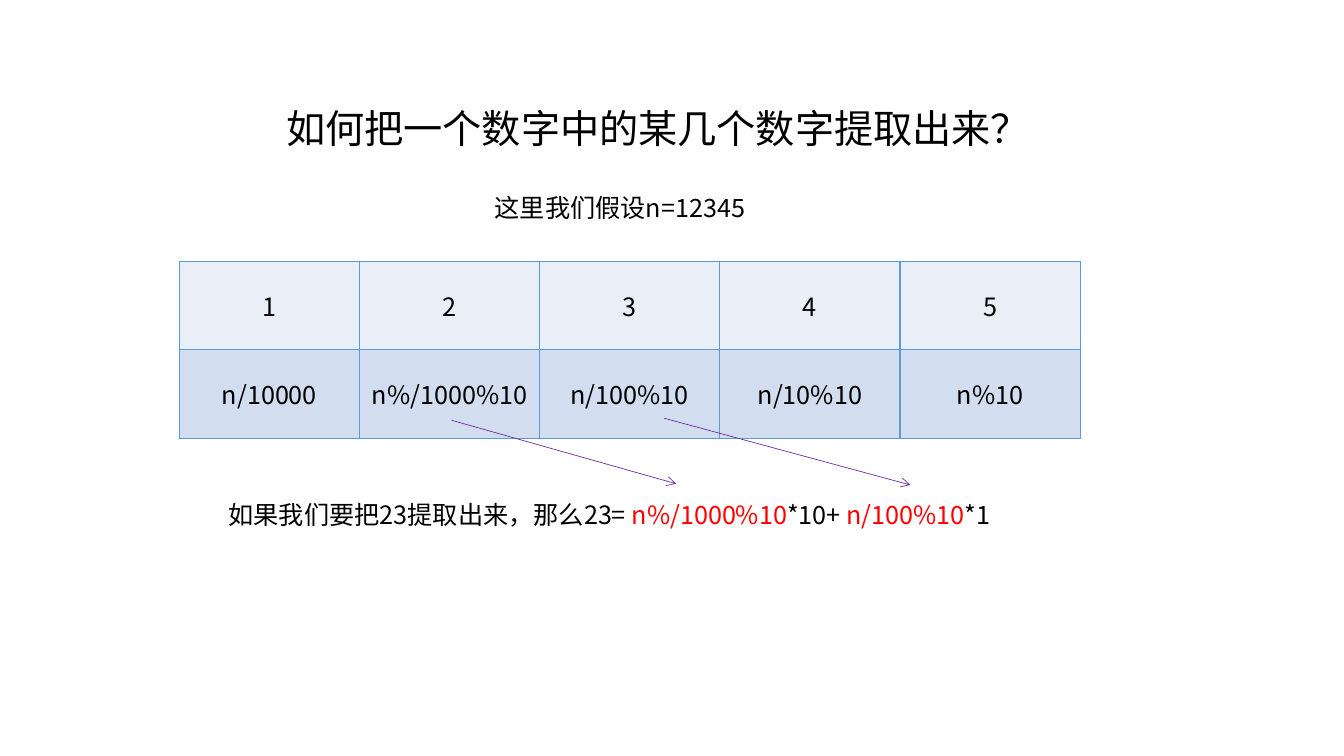
from lxml import etree
from pptx import Presentation
from pptx.dml.color import RGBColor
from pptx.enum.shapes import MSO_CONNECTOR
from pptx.enum.text import MSO_ANCHOR, MSO_AUTO_SIZE, PP_ALIGN
from pptx.oxml import parse_xml
from pptx.oxml.ns import nsdecls, qn
from pptx.util import Cm, Pt

STRAIGHT = MSO_CONNECTOR.STRAIGHT
TOP, MIDDLE = MSO_ANCHOR.TOP, MSO_ANCHOR.MIDDLE
LEFT, CENTER = PP_ALIGN.LEFT, PP_ALIGN.CENTER
FONT = "Noto Sans CJK SC"
BLACK, RED, PURPLE, BLUE = "000000", "FF0000", "7030A0", "5B9BD5"


def color(hex_value):
    return RGBColor.from_string(hex_value)


def write(text_frame, parts, size, alignment):
    paragraph = text_frame.paragraphs[0]
    paragraph.alignment = alignment
    paragraph.font.name = FONT
    paragraph.font.size = Pt(size)
    paragraph.font.bold = False
    properties = paragraph._p.pPr.find(qn("a:defRPr"))
    latin = properties.find(qn("a:latin"))
    latin.addnext(parse_xml(f'<a:ea {nsdecls("a")} typeface="{FONT}"/>'))
    for text, hex_value in parts:
        run = paragraph.add_run()
        run.text = text
        run.font.color.rgb = color(hex_value)


presentation = Presentation()
presentation.slide_width = Cm(33.87)
presentation.slide_height = Cm(19.05)
slide = presentation.slides.add_slide(presentation.slide_layouts[5])

title = slide.shapes.title
title.left, title.top, title.width, title.height = Cm(6.96), Cm(2.51), Cm(19.46), Cm(1.45)
assumption = slide.shapes.add_textbox(Cm(12.22), Cm(4.72), Cm(7.11), Cm(1.02))
conclusion = slide.shapes.add_textbox(Cm(5.51), Cm(12.45), Cm(20.55), Cm(1.02))

conclusion_parts = [
    ("如果我们要把23提取出来，那么23= ", BLACK),
    ("n%/1000%10", RED),
    ("*10+ ", BLACK),
    ("n/100%10", RED),
    ("*1", BLACK),
]
for shape, parts, size in [
    (title, [("如何把一个数字中的某几个数字提取出来？", BLACK)], 28),
    (assumption, [("这里我们假设n=12345", BLACK)], 18),
    (conclusion, conclusion_parts, 18),
]:
    text_frame = shape.text_frame
    text_frame.word_wrap = False
    text_frame.auto_size = MSO_AUTO_SIZE.SHAPE_TO_FIT_TEXT
    text_frame.vertical_anchor = TOP
    write(text_frame, parts, size, LEFT)

digit_rows = [
    (["1", "2", "3", "4", "5"], "EAEFF7"),
    (["n/10000", "n%/1000%10", "n/100%10", "n/10%10", "n%10"], "D2DEEF"),
]
table = slide.shapes.add_table(2, 5, Cm(4.52), Cm(6.59), Cm(22.7), Cm(4.45)).table
table.first_row = False
table.horz_banding = False
for row_index, (texts, fill) in enumerate(digit_rows):
    for column_index, text in enumerate(texts):
        cell = table.cell(row_index, column_index)
        cell.vertical_anchor = MIDDLE
        write(cell.text_frame, [(text, BLACK)], 18, CENTER)
        cell_properties = cell._tc.get_or_add_tcPr()
        for side in ("lnL", "lnR", "lnT", "lnB"):
            border = etree.SubElement(cell_properties, qn(f"a:{side}"), w=str(Pt(1)))
            border_fill = etree.SubElement(border, qn("a:solidFill"))
            etree.SubElement(border_fill, qn("a:srgbClr"), val=BLUE)
        cell.fill.solid()
        cell.fill.fore_color.rgb = color(fill)

for start_x, start_y, end_x, end_y in [
    (11.38, 10.59, 17.04, 12.19),
    (16.74, 10.54, 22.94, 12.22),
]:
    arrow = slide.shapes.add_connector(STRAIGHT, Cm(start_x), Cm(start_y), Cm(end_x), Cm(end_y))
    arrow.line.color.rgb = color(PURPLE)
    arrow.line.width = Pt(0.5)
    etree.SubElement(arrow.line._get_or_add_ln(), qn("a:tailEnd"), type="arrow")
    etree.SubElement(arrow._element.spPr, qn("a:effectLst"))

presentation.save("out.pptx")
